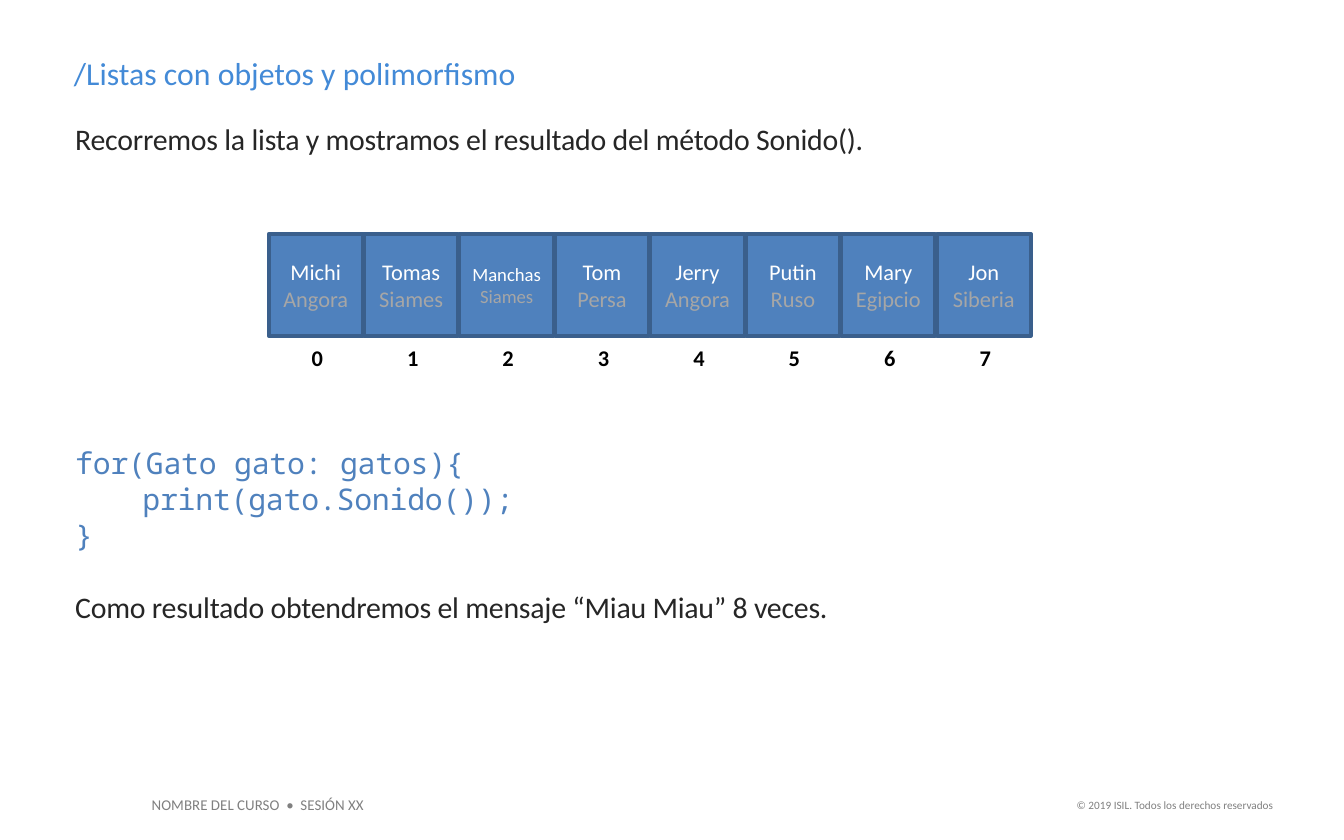
from lxml.etree import SubElement
from pptx import Presentation
from pptx.dml.color import RGBColor
from pptx.enum.shapes import MSO_SHAPE
from pptx.enum.text import MSO_ANCHOR, MSO_AUTO_SIZE, PP_ALIGN
from pptx.oxml.ns import qn
from pptx.util import Inches, Pt

COLORS = {"title": "438AD7", "body": "262626", "code": "4F81BD", "box": "4F81BD",
          "border": "3A5F8C", "name": "FFFFFF", "breed": "A6A6A6",
          "index": "000000", "footer": "808080"}
FONT, MONO = "Calibri", "Noto Sans Mono"
LINE = 19.25  # body line pitch in points

CATS = [("Michi", "Angora"), ("Tomas", "Siames"), ("Manchas", "Siames"),
        ("Tom", "Persa"), ("Jerry", "Angora"), ("Putin", "Ruso"),
        ("Mary", "Egipcio"), ("Jon", "Siberia")]

# Text, font, colour and number of lines left free above
BODY = [("Recorremos la lista y mostramos el resultado del método Sonido().", FONT, "body", 0),
        ("for(Gato gato: gatos){", MONO, "code", 8),
        ("\tprint(gato.Sonido());", MONO, "code", 0),
        ("}", MONO, "code", 0),
        ("Como resultado obtendremos el mensaje “Miau Miau” 8 veces.", FONT, "body", 1)]


def write(p, text, size=12, color="body", font=FONT, bold=False, align=PP_ALIGN.LEFT, spacing=0):
    p.alignment = align
    r = p.add_run()
    r.text = text
    r.font.name, r.font.size, r.font.bold = font, Pt(size), bold
    r.font.color.rgb = RGBColor.from_string(COLORS[color])
    if spacing:
        r._r.get_or_add_rPr().set("spc", str(spacing))


class Deck:
    def __init__(self, width, height):
        self.prs = Presentation()
        self.prs.slide_width, self.prs.slide_height = Inches(width), Inches(height)
        self.s = self.prs.slides.add_slide(self.prs.slide_layouts[1])

    def place(self, sp, x, y, w, h):
        sp.left, sp.top, sp.width, sp.height = map(Inches, (x, y, w, h))
        tf = sp.text_frame
        tf.auto_size = MSO_AUTO_SIZE.NONE
        tf.vertical_anchor = MSO_ANCHOR.TOP
        tf.word_wrap = True
        return tf

    def title(self, text, *at):
        tf = self.place(self.s.shapes.title, *at)
        write(tf.paragraphs[0], text, size=17, color="title")

    def body(self, lines, *at):
        tf = self.place(self.s.placeholders[1], *at)
        tf.margin_left = tf.margin_right = tf.margin_top = tf.margin_bottom = 0
        for i, (text, font, color, gap) in enumerate(lines):
            p = tf.add_paragraph() if i else tf.paragraphs[0]
            pPr = p._p.get_or_add_pPr()
            pPr.set("marL", "0")
            pPr.set("indent", "0")
            SubElement(pPr, qn("a:buNone"))
            if text.startswith("\t"):
                tabs = SubElement(pPr, qn("a:tabLst"))
                SubElement(tabs, qn("a:tab"), pos=str(Inches(0.13)), algn="l")
            p.line_spacing = Pt(LINE)
            p.space_before = Pt(gap * LINE)
            write(p, text, size=16, color=color, font=font, spacing=-10)

    def text(self, text, *at, wrap=True, **style):
        tf = self.place(self.s.shapes.add_textbox(0, 0, 0, 0), *at)
        tf.word_wrap = wrap
        write(tf.paragraphs[0], text, **style)

    def box(self, name, breed, *at, size=12):
        sp = self.s.shapes.add_shape(MSO_SHAPE.RECTANGLE, 0, 0, 0, 0)
        sp.shadow.inherit = False
        sp.fill.solid()
        sp.fill.fore_color.rgb = RGBColor.from_string(COLORS["box"])
        sp.line.color.rgb = RGBColor.from_string(COLORS["border"])
        sp.line.width = Pt(2)
        tf = self.place(sp, *at)
        tf.vertical_anchor = MSO_ANCHOR.MIDDLE
        tf.margin_left = tf.margin_right = Inches(0.05)
        write(tf.paragraphs[0], name, size=size, color="name", align=PP_ALIGN.CENTER)
        write(tf.add_paragraph(), breed, size=size, color="breed", align=PP_ALIGN.CENTER)


def main():
    deck = Deck(10, 6.25)

    # Footer
    deck.text("NOMBRE DEL CURSO  •  SESIÓN XX", 1.03, 5.87, 1.79, 0.24,
              wrap=False, size=8, color="footer")
    deck.text("© 2019 ISIL. Todos los derechos reservados", 7.88, 5.89, 1.69, 0.2,
              wrap=False, size=6, color="footer", align=PP_ALIGN.RIGHT)

    # Title and explanation
    deck.title("/Listas con objetos y polimorfismo", 0.45, 0.35, 7.88, 0.39)
    deck.body(BODY, 0.56, 0.9, 8.93, 4.9)

    # List cells with their indexes
    for i, (name, breed) in enumerate(CATS):
        x = 2 + 0.71 * i
        deck.box(name, breed, x, 1.74, 0.7, 0.76, size=10 if len(name) > 6 else 12)
        deck.text(str(i), x + 0.22, 2.51, 0.21, 0.3, color="index", bold=True)

    deck.prs.save("out.pptx")


if __name__ == "__main__":
    main()
